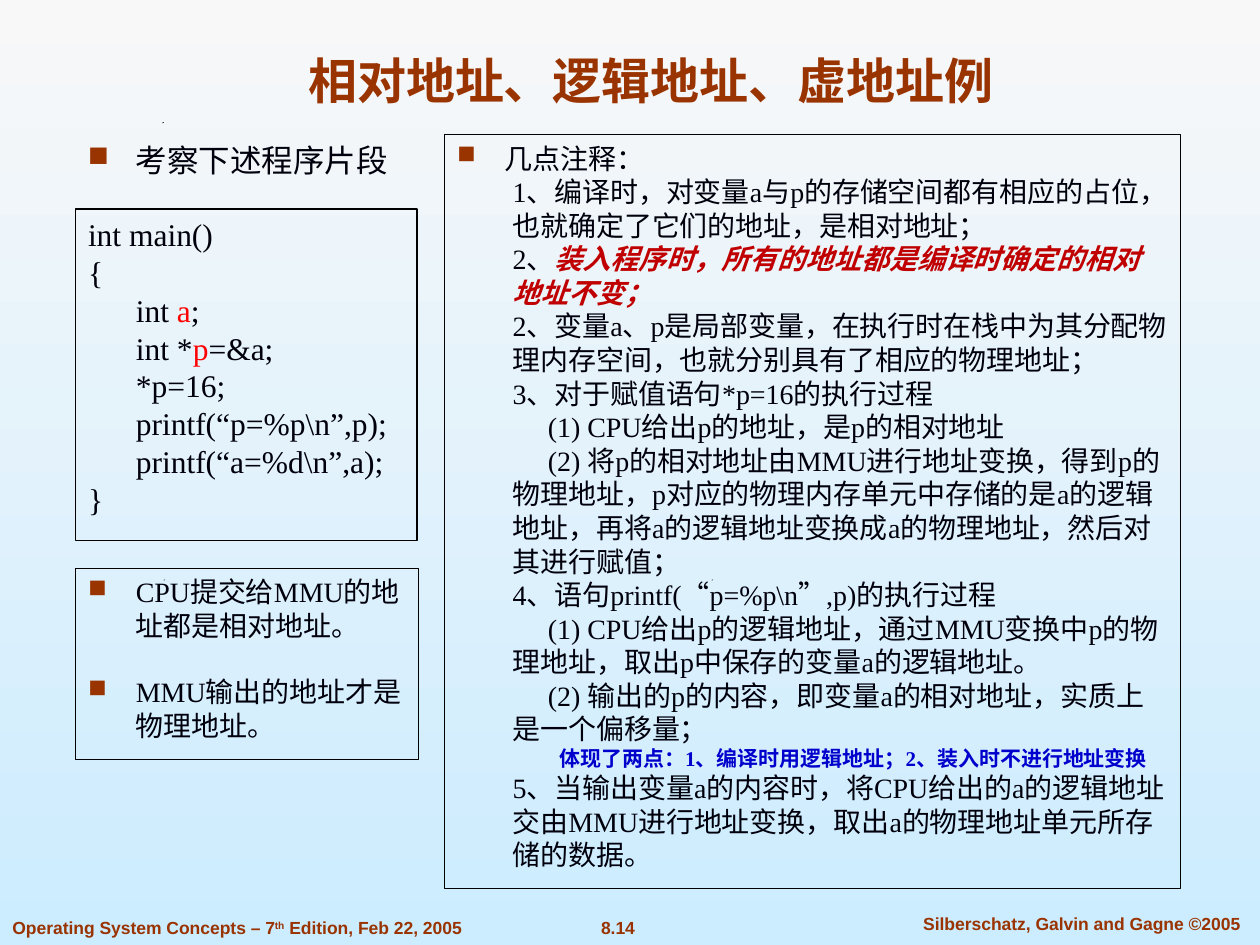
from dataclasses import dataclass

from lxml import etree
from pptx import Presentation
from pptx.dml.color import RGBColor
from pptx.enum.shapes import MSO_SHAPE
from pptx.enum.text import MSO_ANCHOR, PP_ALIGN
from pptx.oxml.ns import qn
from pptx.util import Inches, Pt

RECTANGLE = MSO_SHAPE.RECTANGLE
TOP, BOTTOM = MSO_ANCHOR.TOP, MSO_ANCHOR.BOTTOM
LEFT, CENTER = PP_ALIGN.LEFT, PP_ALIGN.CENTER


@dataclass(frozen=True)
class Theme:
    sans: str = "Arial"
    serif: str = "Times New Roman"
    brand: str = "993300"
    ink: str = "00000C"
    black: str = "000000"
    variable: str = "FF0000"
    warning: str = "C00000"
    remark: str = "0000CC"
    sky_top: str = "F8F8F8"
    sky_bottom: str = "CCECFF"
    title: int = 28
    code: int = 18
    body: int = 16
    small: int = 12
    footer: int = 10


THEME = Theme()

deck = Presentation()
deck.slide_width, deck.slide_height = Inches(10), Inches(7.5)
COL, ROW = deck.slide_width / 100, deck.slide_height / 75
slide = deck.slides.add_slide(deck.slide_layouts[6])

sky = slide.background.fill
sky.gradient()
sky.gradient_angle = 270
for stop, position, color in zip(sky.gradient_stops, (0, 1), (THEME.sky_top, THEME.sky_bottom)):
    stop.position = position
    stop.color.rgb = RGBColor.from_string(color)


def add_frame(col, row, cols, rows, outlined=False, anchor=TOP):
    """Place a text area on the 100 x 75 grid and return its text frame."""
    area = (round(col * COL), round(row * ROW), round(cols * COL), round(rows * ROW))
    if outlined:
        box = slide.shapes.add_shape(RECTANGLE, *area)
        box.shadow.inherit = False
        box.fill.background()
        box.line.color.rgb = RGBColor.from_string(THEME.black)
        box.line.width = Pt(0.75)
    else:
        box = slide.shapes.add_textbox(*area)
    box.text_frame.word_wrap = True
    box.text_frame.vertical_anchor = anchor
    return box.text_frame


def write(frame, *runs, size=THEME.body, font=THEME.serif, color=THEME.ink, bold=False,
          align=LEFT, level=0, margin=0, indent=0, before=0, bullet=False):
    """Append a paragraph; a run is a text or a (text, format) pair."""
    paragraph = frame.paragraphs[0]
    if paragraph.runs:
        paragraph = frame.add_paragraph()
    paragraph.alignment, paragraph.level = align, level
    paragraph.space_before = Pt(before)
    for item in runs:
        text, special = (item, {}) if isinstance(item, str) else item
        run = paragraph.add_run()
        run.text = text
        run.font.size, run.font.name = Pt(size), font
        run.font.bold = special.get("bold", bold)
        run.font.italic = special.get("italic", False)
        run.font.color.rgb = RGBColor.from_string(special.get("color", color))
        if special.get("superscript"):
            run.font._element.set("baseline", "30000")
    properties = paragraph._p.get_or_add_pPr()
    if bullet:
        margin, indent = 3.8, -3.8
        bullet_color = etree.SubElement(properties, qn("a:buClr"))
        etree.SubElement(bullet_color, qn("a:srgbClr"), val=THEME.brand)
        etree.SubElement(properties, qn("a:buSzPct"), val="90000")
        etree.SubElement(properties, qn("a:buChar"), char="■")
    else:
        etree.SubElement(properties, qn("a:buNone"))
    properties.set("marL", str(round(margin * COL)))
    properties.set("indent", str(round(indent * COL)))


# Small specks of the background
for col, row in ((17.6, 54.3), (13, 46), (56.5, 46), (12.9, 9.7)):
    outline = slide.shapes.build_freeform(round(col * COL), round((row + 0.1) * ROW))
    outline.add_line_segments([(round((col + 0.1) * COL), round(row * ROW)),
                               (round(col * COL), round(row * ROW))])
    speck = outline.convert_to_shape()
    speck.shadow.inherit = False
    speck.fill.solid()
    speck.fill.fore_color.rgb = RGBColor.from_string(THEME.black)
    speck.line.fill.background()

# Footer
footer = dict(size=THEME.footer, font=THEME.sans, color=THEME.brand, bold=True)
write(add_frame(46.4, 72.3, 5.3, 2.7), "8.14", align=CENTER, **footer)
write(add_frame(71, 72, 29.7, 2.7), "Silberschatz, Galvin and Gagne ©2005", align=CENTER, **footer)
write(add_frame(0, 72.3, 42.1, 2.7), "Operating System Concepts – 7", ("th", {"superscript": True}),
      " Edition, Feb 22, 2005", **footer)

# Title and lead
write(add_frame(7.5, 2.5, 88.3, 6.7, anchor=BOTTOM), "相对地址、逻辑地址、虚地址例",
      size=THEME.title, font=THEME.sans, color=THEME.brand, bold=True, align=CENTER)
write(add_frame(6, 10.7, 29.3, 4.3), "考察下述程序片段", size=THEME.code, font=THEME.sans, bullet=True)

# Program
program = add_frame(6, 16.6, 27.1, 26.3, outlined=True)
variable = {"color": THEME.variable}
for depth, line in (
    (0, ["int main()"]),
    (0, ["{"]),
    (1, ["int ", ("a", variable), ";"]),
    (1, ["int *", ("p", variable), "=&a;"]),
    (1, ["*p=16;"]),
    (1, ["printf(“p=%p\\n”,p);"]),
    (1, ["printf(“a=%d\\n”,a);"]),
    (0, ["}"]),
):
    write(program, *line, size=THEME.code, margin=3.8 * depth)

# Notes
notes = add_frame(35.3, 10.7, 58.4, 59.8, outlined=True)
point = dict(level=1, margin=4.4)
step = dict(point, indent=2.8)
remark = dict(level=2, margin=8.1, size=THEME.small, color=THEME.remark, bold=True)
warning = {"color": THEME.warning, "bold": True, "italic": True}
write(notes, "几点注释：", font=THEME.sans, bullet=True)
for style, *runs in (
    (point, "1、编译时，对变量a与p的存储空间都有相应的占位，也就确定了它们的地址，是相对地址；"),
    (point, "2、", ("装入程序时，所有的地址都是编译时确定的相对地址不变；", warning)),
    (point, "2、变量a、p是局部变量，在执行时在栈中为其分配物理内存空间，也就分别具有了相应的物理地址；"),
    (point, "3、对于赋值语句*p=16的执行过程"),
    (step, "(1) CPU给出p的地址，是p的相对地址"),
    (step, "(2) 将p的相对地址由MMU进行地址变换，得到p的物理地址，p对应的物理内存单元中存储的是a的逻辑地址，"
           "再将a的逻辑地址变换成a的物理地址，然后对其进行赋值；"),
    (point, "4、语句printf(“p=%p\\n”,p)的执行过程"),
    (step, "(1) CPU给出p的逻辑地址，通过MMU变换中p的物理地址，取出p中保存的变量a的逻辑地址。"),
    (step, "(2) 输出的p的内容，即变量a的相对地址，实质上是一个偏移量；"),
    (remark, "体现了两点：1、编译时用逻辑地址；2、装入时不进行地址变换"),
    (point, "5、当输出变量a的内容时，将CPU给出的a的逻辑地址交由MMU进行地址变换，"
            "取出a的物理地址单元所存储的数据。"),
):
    write(notes, *runs, **style)

# Conclusion
conclusion = add_frame(6, 45.1, 27.2, 15.2, outlined=True)
write(conclusion, "CPU提交给MMU的地址都是相对地址。", bullet=True)
write(conclusion, "MMU输出的地址才是物理地址。", bullet=True, before=19)

deck.save("out.pptx")
